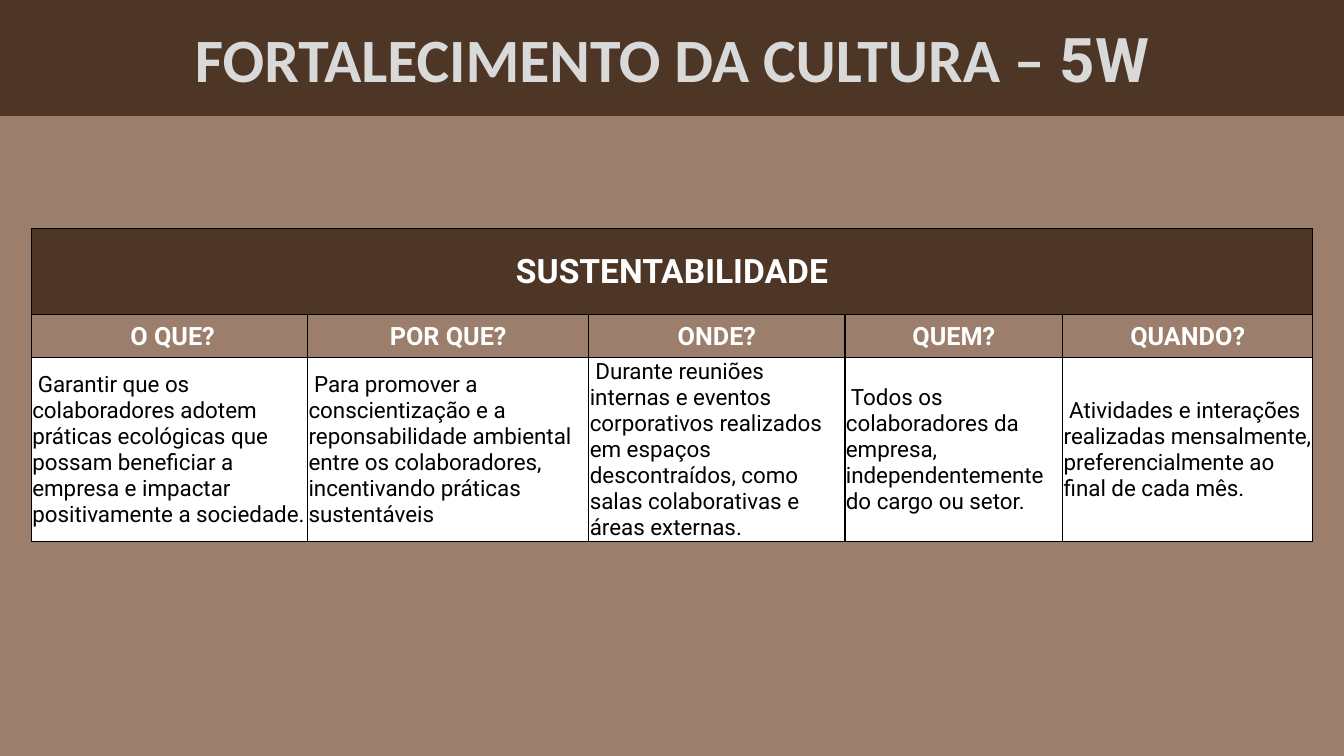
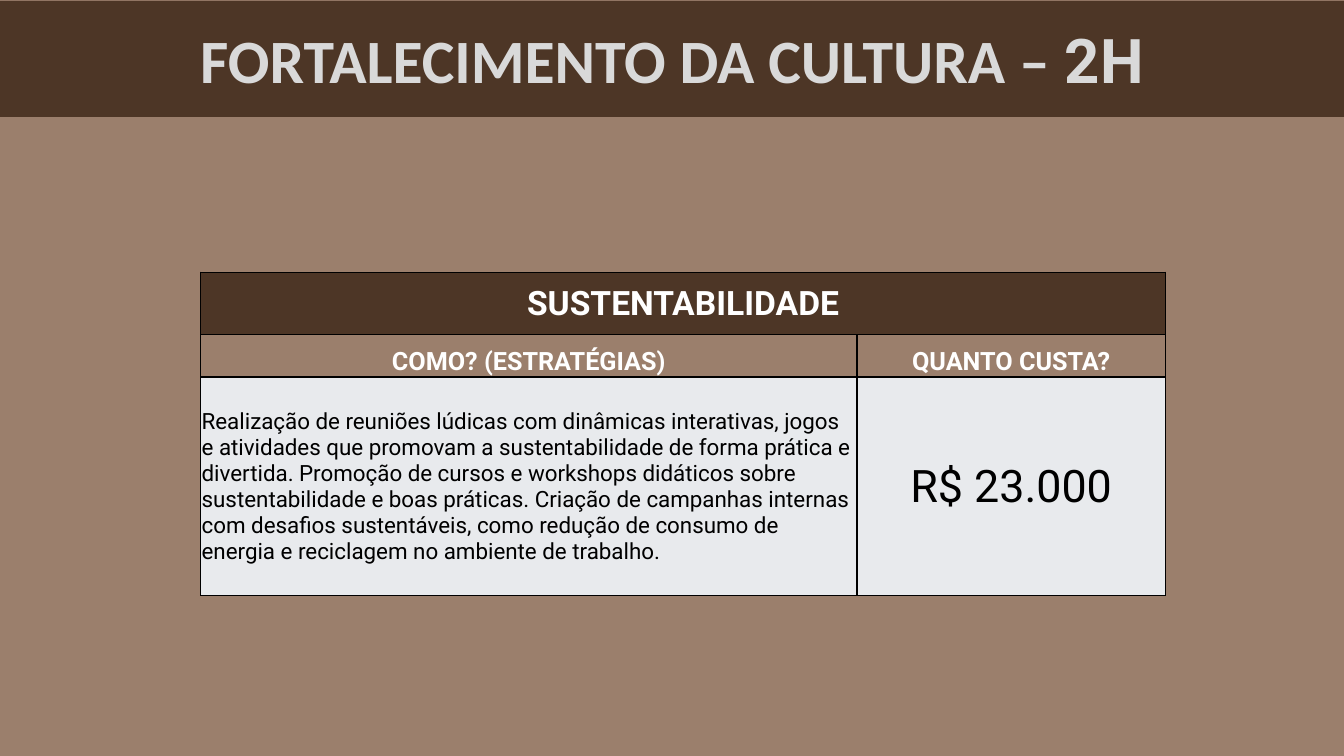
import pptx
import pptx.util
import pptx.dml.color
import pptx.enum.shapes
import pptx.enum.text
import pptx.oxml
import pptx.oxml.ns

HUES = {
    "ground": "9B7F6C", "dark": "4D3626", "title": "D9D9D9",
    "white": "FFFFFF", "pale": "E8EAED", "ink": "000000",
}
WIDE, HIGH = pptx.util.Inches(13.33), pptx.util.Inches(7.5)
HEAD, BODY = "Calibri", "Roboto"
ALIGN = pptx.enum.text.PP_ALIGN
ANCHOR = pptx.enum.text.MSO_ANCHOR


def hue(name):
    return pptx.dml.color.RGBColor.from_string(HUES[name])


def place(box):
    """Turn a box in percent of the slide into slide lengths."""
    left, top, width, height = box
    return (int(WIDE * left / 100), int(HIGH * top / 100),
            int(WIDE * width / 100), int(HIGH * height / 100))


def paint(fill, name):
    fill.solid()
    fill.fore_color.rgb = hue(name)


def style(run, face, size, tint, bold):
    run.font.name = face
    run.font.size = pptx.util.Pt(size)
    run.font.color.rgb = hue(tint)
    run.font.bold = bold


def band(slide, box, code):
    """Title band across the top, ending in a short code."""
    bar = slide.shapes.add_shape(
        pptx.enum.shapes.MSO_SHAPE.RECTANGLE, *place(box))
    bar.shadow.inherit = False
    paint(bar.fill, "dark")
    bar.line.fill.background()
    bar.text_frame.vertical_anchor = ANCHOR.MIDDLE
    para = bar.text_frame.paragraphs[0]
    para.alignment = ALIGN.CENTER
    for text, face in (("FORTALECIMENTO DA CULTURA – ", HEAD), (code, BODY)):
        run = para.add_run()
        run.text = text
        style(run, face, 44, "title", True)


def frame(cell):
    """Thin black border on all four sides."""
    props = cell._tc.get_or_add_tcPr()
    space = pptx.oxml.ns.nsdecls("a")
    for side in "LRTB":
        props.append(pptx.oxml.parse_xml(
            f'<a:ln{side} {space} w="12700"><a:solidFill>'
            f'<a:srgbClr val="{HUES["ink"]}"/></a:solidFill></a:ln{side}>'))


def write(cell, text, size, tint, bold, align, anchor):
    cell.vertical_anchor = anchor
    cell.text_frame.text = text
    para = cell.text_frame.paragraphs[0]
    para.alignment = align
    for run in para.runs:
        style(run, BODY, size, tint, bold)


def grid(slide, box, cols, rows, heads, texts, fill, anchor):
    """Plan table: merged heading, questions, answers (text, size, align)."""
    left, top, width, height = place(box)
    table = slide.shapes.add_table(
        len(rows), len(cols), left, top, width, height).table
    for col, part in zip(table.columns, cols):
        col.width = int(width * part / sum(cols))
    for row, part in zip(table.rows, rows):
        row.height = int(height * part / sum(rows))

    # Borders, fills and margins by row
    for row, name in zip(table.rows, ("dark", "ground", fill)):
        for cell in row.cells:
            frame(cell)
            paint(cell.fill, name)
            cell.margin_left = cell.margin_right = pptx.util.Inches(0.01)
            cell.margin_top = pptx.util.Inches(0.01)
            cell.margin_bottom = 0

    # Wording
    first = table.cell(0, 0)
    first.merge(table.cell(0, len(cols) - 1))
    write(first, "SUSTENTABILIDADE", 24, "white", True,
          ALIGN.CENTER, ANCHOR.MIDDLE)
    for spot, (head, (text, size, align)) in enumerate(zip(heads, texts)):
        write(table.cell(1, spot), head, 18, "white", True,
              ALIGN.CENTER, anchor)
        write(table.cell(2, spot), text, size, "ink", False,
              align, ANCHOR.MIDDLE)


def page(deck, code, top, **plan):
    """One slide: ground, title band and plan table."""
    slide = deck.slides.add_slide(deck.slide_layouts[6])
    paint(slide.background.fill, "ground")
    band(slide, (0, top, 100, 15.33), code)
    grid(slide, **plan)


def main():
    deck = pptx.Presentation()
    deck.slide_width, deck.slide_height = WIDE, HIGH

    # What, why, where, who, when
    answers = (
        " Garantir que os colaboradores adotem práticas ecológicas que possam "
        "beneficiar a empresa e impactar positivamente a sociedade.",
        " Para promover a conscientização e a reponsabilidade ambiental entre "
        "os colaboradores, incentivando práticas sustentáveis",
        " Durante reuniões internas e eventos corporativos realizados em "
        "espaços descontraídos, como salas colaborativas e áreas externas.",
        " Todos os colaboradores da empresa, independentemente do cargo ou "
        "setor.",
        " Atividades e interações realizadas mensalmente, preferencialmente "
        "ao final de cada mês.",
    )
    page(deck, "5W", 0,
         box=(2.33, 30.27, 95.35, 39.2),
         cols=(2.74, 2.79, 2.54, 2.16, 2.48), rows=(0.85, 0.43, 1.66),
         heads=(" O QUE?", "POR QUE?", "ONDE?", "QUEM?", "QUANDO?"),
         texts=[(text, 16, ALIGN.LEFT) for text in answers],
         fill="white", anchor=ANCHOR.MIDDLE)

    # How and how much
    means = (
        "Realização de reuniões lúdicas com dinâmicas interativas, jogos e "
        "atividades que promovam a sustentabilidade de forma prática e "
        "divertida. Promoção de cursos e workshops didáticos sobre "
        "sustentabilidade e boas práticas. Criação de campanhas internas com "
        "desafios sustentáveis, como redução de consumo de energia e "
        "reciclagem no ambiente de trabalho."
    )
    page(deck, "2H", 0.13,
         box=(14.93, 36, 71.79, 42.8),
         cols=(6.51, 3.06), rows=(0.62, 0.42, 2.17),
         heads=("COMO? (ESTRATÉGIAS)", "QUANTO CUSTA?"),
         texts=[(means, 16, ALIGN.LEFT), ("R$ 23.000", 32, ALIGN.CENTER)],
         fill="pale", anchor=ANCHOR.BOTTOM)

    deck.save("out.pptx")


if __name__ == "__main__":
    main()
